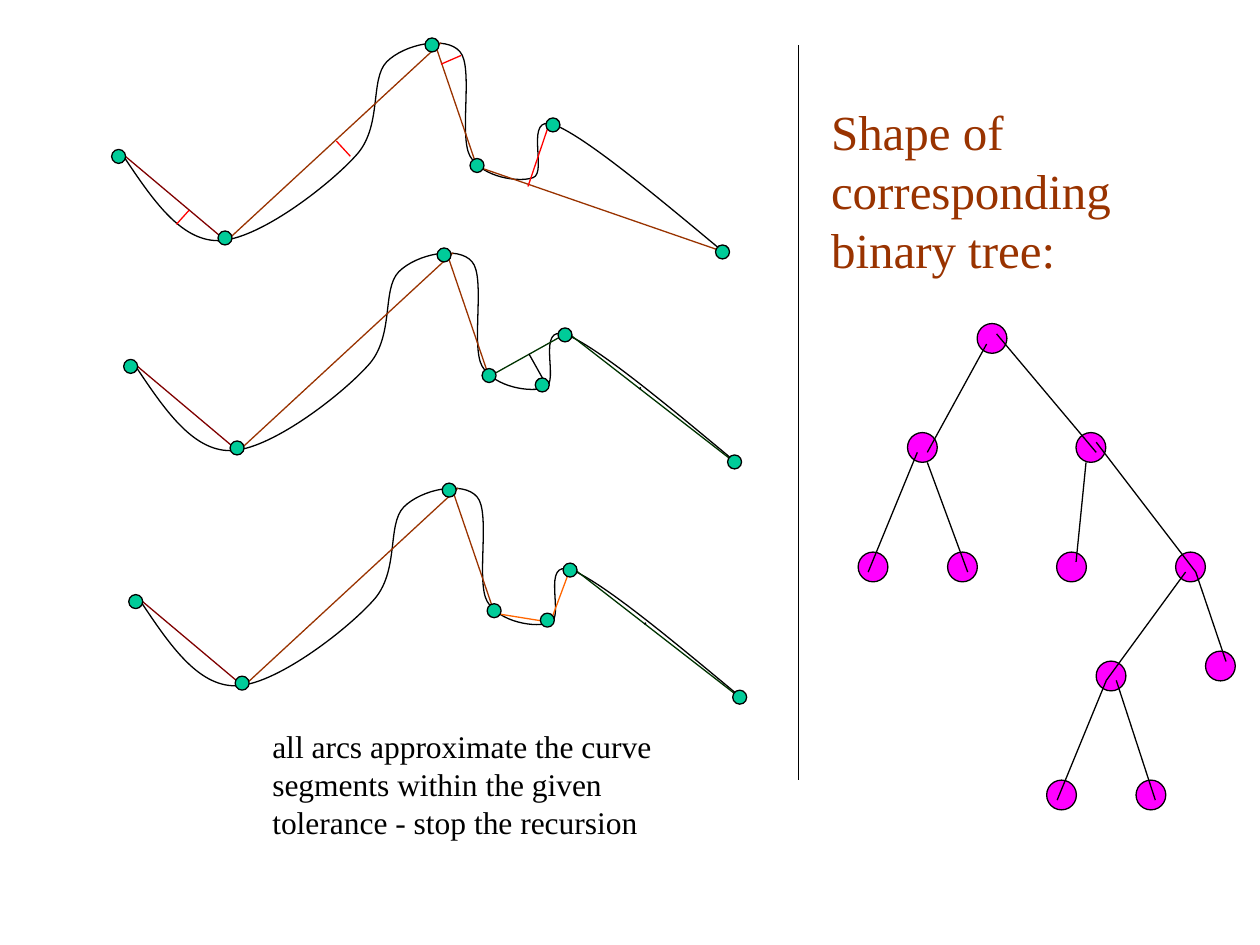
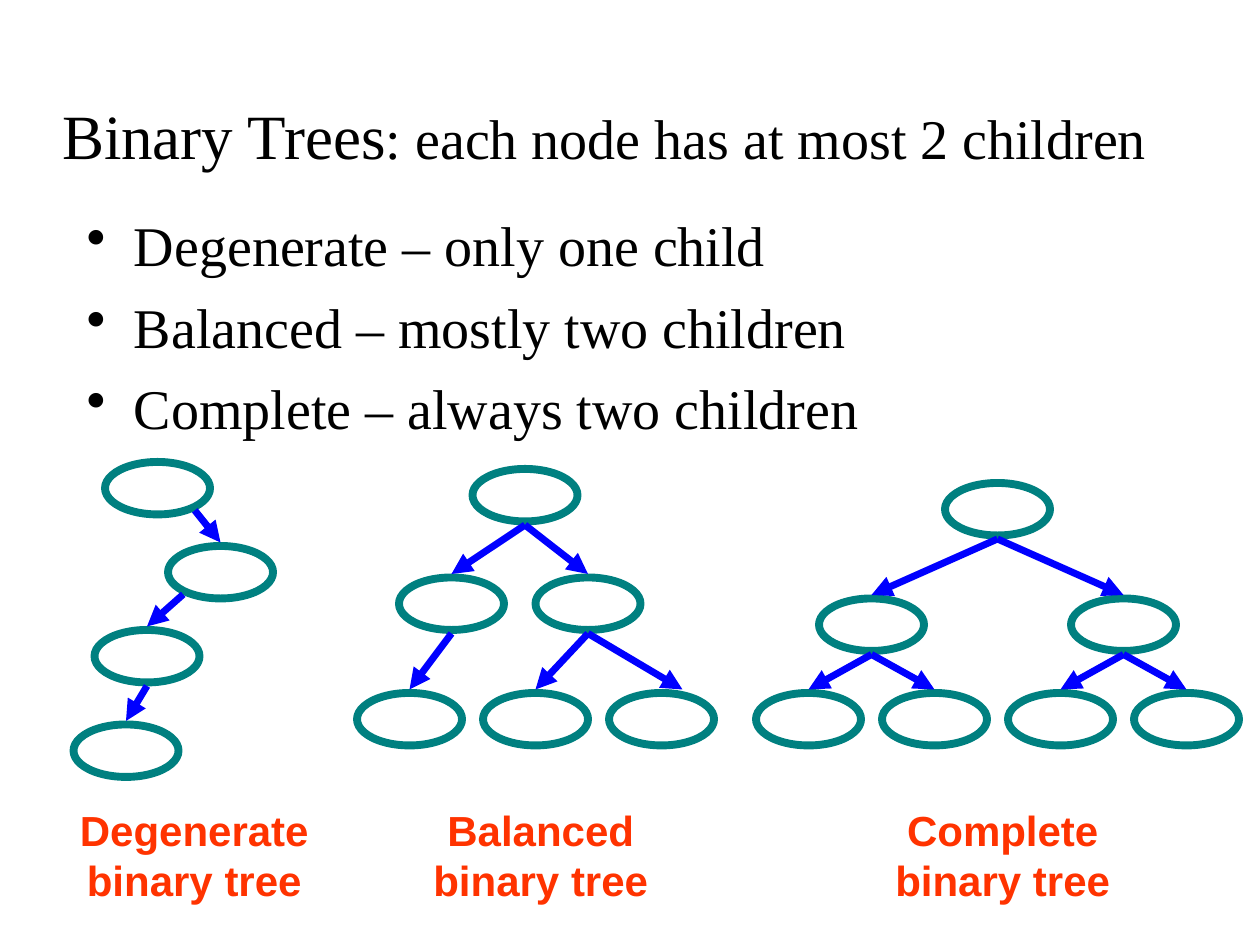
from dataclasses import dataclass

import pptx
import pptx.dml.color
import pptx.enum.shapes
import pptx.enum.text
import pptx.oxml
import pptx.oxml.ns
import pptx.util
from lxml import etree

Pt = pptx.util.Pt
qn = pptx.oxml.ns.qn
ALIGN = pptx.enum.text.PP_ALIGN
ANCHOR = pptx.enum.text.MSO_ANCHOR


@dataclass(frozen=True)
class Theme:
    serif: str = "Times New Roman"
    sans: str = "Arial"
    black: str = "000000"
    brown: str = "993300"
    maroon: str = "800000"
    red: str = "FF0000"
    orange: str = "FF6600"
    dark_green: str = "003300"
    dot: str = "00CC99"
    magenta: str = "FF00FF"
    teal: str = "008080"
    blue: str = "0000FF"
    label: str = "FF3300"
    note_size: float = 18
    label_size: float = 24
    heading_size: float = 28
    body_size: float = 32
    title_size: float = 36
    thin: float = 0.75
    arrow: float = 4
    ring: float = 4.5


THEME = Theme()

# Curve in points: a start, then control, control, end for each segment
CURVE = [
    (70.6, 89.3),
    (87, 113.8), (103, 137.5), (124.6, 137.5),
    (146.9, 137.5), (187.2, 106.6), (203, 89.3),
    (218.9, 72.7), (211, 45.4), (221, 35.3),
    (231.1, 25.2), (254.9, 20.2), (262.8, 29.5),
    (270.7, 38.2), (262.1, 77.8), (268.6, 89.3),
    (275.8, 101.5), (296.6, 104.4), (304.6, 101.5),
    (313.2, 98.6), (298.8, 64.8), (316.8, 71.3),
    (334.8, 78.5), (373.7, 110.9), (412.6, 143.3),
]
CURVE_DOTS = [(67.8, 89.4), (128.6, 136), (272.6, 94.6),
              (412.9, 144), (246.9, 25.7), (316, 71.4)]
SPLIT_DOT = (303, 100)
DOT_SIZE = 8

# Chords are (x1, y1, x2, y2, colour)
SHARED_CHORDS = [
    (69.8, 87.8, 128.9, 137.5, THEME.maroon),
    (128.9, 138.2, 252, 24.5, THEME.brown),
    (249.1, 26.6, 272.2, 94.3, THEME.brown),
]
REFINED_CHORDS = [
    (317, 69.8, 411.6, 143.2, THEME.dark_green),
    (358.3, 102.2, 359.4, 101.5, THEME.black),
]
# Each step is (x offset, y offset, its own chords, its dots)
STEPS = [
    (0, 0, [
        (270, 94.3, 409.7, 142.6, THEME.brown),
        (100.8, 128.2, 108, 120.2, THEME.red),
        (192.2, 80.6, 200.2, 89.3, THEME.red),
        (252, 36.7, 263.5, 31.7, THEME.red),
        (313.9, 70.6, 301.7, 106.6, THEME.red),
    ], CURVE_DOTS),
    (6.9, 120, REFINED_CHORDS + [
        (272.4, 95.3, 316.3, 70.8, THEME.dark_green),
        (295.4, 82.3, 305.5, 100.3, THEME.black),
    ], CURVE_DOTS + [SPLIT_DOT]),
    (9.8, 254.4, REFINED_CHORDS + [
        (273, 96.1, 304.6, 101.2, THEME.orange),
        (316.2, 70.2, 303.9, 103.3, THEME.orange),
    ], CURVE_DOTS + [SPLIT_DOT]),
]

# Tree of the recursion: node centres and edges
TREE_NODE_SIZE = 17
TREE_NODES = [
    (566.9, 193.4), (527.1, 255.7), (623.4, 255.7),
    (498.9, 324), (550, 324), (612.3, 324), (680.3, 324),
    (697.4, 380.6), (634.9, 386.3), (606.6, 454.3), (657.7, 454.3),
]
TREE_EDGES = [
    (563.8, 196.6, 529.9, 258.5), (569.5, 190.8, 626.4, 258.5),
    (529.9, 264.2, 553, 326.9), (524.2, 258.5, 496.1, 326.9),
    (620.6, 264.2, 614.9, 321.1), (626.4, 252.7, 683.3, 326.9),
    (683.3, 326.9, 700.6, 378), (677.5, 326.9, 632.2, 388.8),
    (637.9, 388.8, 660.2, 457.2), (632.2, 388.8, 604.1, 457.2),
]

# Example trees: label and its left, oval corners, then arrows as
# (parent, child, side the arrow leaves from, shift of its tip)
OVAL_WIDTH, OVAL_HEIGHT, ARROW_GAP = 60, 30, 2
EXAMPLE_TREES = [
    ("Degenerate binary tree", 36,
     [(60, 264), (96, 312), (54, 360), (42, 414)],
     [(0, 1, 1, 0), (1, 2, -1, 0), (2, 3, 0, 0)]),
    ("Balanced binary tree", 234,
     [(270, 268), (228, 330), (306, 330), (204, 396), (276, 396), (348, 396)],
     [(0, 1, 0, 0), (0, 2, 0, 0), (1, 3, 0, 0), (2, 4, 0, 0), (2, 5, 0, 12)]),
    ("Complete binary tree", 498,
     [(540, 276), (468, 342), (612, 342),
      (432, 396), (504, 396), (576, 396), (648, 396)],
     [(0, 1, 0, 0), (0, 2, 0, 0), (1, 3, 0, 0),
      (1, 4, 0, 0), (2, 5, 0, 0), (2, 6, 0, 0)]),
]


def rgb(colour):
    return pptx.dml.color.RGBColor.from_string(colour)


def add_text(slide, text, left, top, width, height, *, size, colour=THEME.black,
             font=THEME.serif, bold=False, align=ALIGN.LEFT, anchor=ANCHOR.TOP,
             bullet=None, space_before=0):
    """Add a text box; text is a list of paragraphs, each a list of (text, size)
    runs, or a plain string with one paragraph a line."""
    frame = slide.shapes.add_textbox(Pt(left), Pt(top), Pt(width), Pt(height)).text_frame
    frame.word_wrap = True
    frame.vertical_anchor = anchor
    if isinstance(text, str):
        text = [[(line, size)] for line in text.split("\n")]
    for index, runs in enumerate(text):
        paragraph = frame.paragraphs[0] if index == 0 else frame.add_paragraph()
        paragraph.alignment = align
        if index:
            paragraph.space_before = Pt(space_before)
        if bullet:
            add_bullet(paragraph, bullet)
        for run_text, run_size in runs:
            run = paragraph.add_run()
            run.text = run_text
            run.font.name = font
            run.font.size = Pt(run_size)
            run.font.bold = bold
            run.font.color.rgb = rgb(colour)


def add_bullet(paragraph, character):
    properties = paragraph._p.get_or_add_pPr()
    properties.set("marL", str(Pt(27)))
    properties.set("indent", str(Pt(-27)))
    etree.SubElement(properties, qn("a:buChar")).set("char", character)


def add_line(slide, x1, y1, x2, y2, colour=THEME.black, width=THEME.thin, arrow=False):
    connector = slide.shapes.add_connector(
        pptx.enum.shapes.MSO_CONNECTOR.STRAIGHT, Pt(x1), Pt(y1), Pt(x2), Pt(y2))
    connector.line.color.rgb = rgb(colour)
    connector.line.width = Pt(width)
    if arrow:
        line = connector.line._get_or_add_ln()
        etree.SubElement(line, qn("a:tailEnd")).set("type", "triangle")
    etree.SubElement(connector._element.spPr, qn("a:effectLst"))


def style_outline(shape, fill, colour, width):
    shape.shadow.inherit = False
    if fill:
        shape.fill.solid()
        shape.fill.fore_color.rgb = rgb(fill)
    else:
        shape.fill.background()
    shape.line.color.rgb = rgb(colour)
    shape.line.width = Pt(width)


def add_ellipse(slide, left, top, width, height, fill=None,
                colour=THEME.black, line_width=THEME.thin):
    shape = slide.shapes.add_shape(pptx.enum.shapes.MSO_SHAPE.OVAL,
                                   Pt(left), Pt(top), Pt(width), Pt(height))
    style_outline(shape, fill, colour, line_width)


def add_dot(slide, x, y, size, fill):
    add_ellipse(slide, x - size / 2, y - size / 2, size, size, fill)


def add_curve(slide, points):
    """Add a freeform whose vertices are regrouped in threes as Bézier segments."""
    vertices = [(Pt(x), Pt(y)) for x, y in points]
    builder = slide.shapes.build_freeform(*vertices[0])
    builder.add_line_segments(vertices[1:], close=False)
    shape = builder.convert_to_shape()
    style_outline(shape, None, THEME.black, THEME.thin)
    outline = shape._element.find(".//" + qn("a:path"))
    segments = outline.findall(qn("a:lnTo"))
    for start in range(0, len(segments), 3):
        bezier = etree.SubElement(outline, qn("a:cubicBezTo"))
        for segment in segments[start:start + 3]:
            bezier.append(segment[0])
            outline.remove(segment)


def add_step(slide, dx, dy, chords, dots):
    add_curve(slide, [(x + dx, y + dy) for x, y in CURVE])
    for x1, y1, x2, y2, colour in SHARED_CHORDS + chords:
        add_line(slide, x1 + dx, y1 + dy, x2 + dx, y2 + dy, colour)
    for x, y in dots:
        add_dot(slide, x + dx, y + dy, DOT_SIZE, THEME.dot)


def add_example_tree(slide, label, label_left, ovals, arrows):
    for left, top in ovals:
        add_ellipse(slide, left, top, OVAL_WIDTH, OVAL_HEIGHT,
                    colour=THEME.teal, line_width=THEME.ring)
    for parent, child, side, shift in arrows:
        (left, top), (child_left, child_top) = ovals[parent], ovals[child]
        reach = 0.71 if side else 1  # a side exit leaves the oval at 45 degrees
        add_line(slide,
                 left + OVAL_WIDTH / 2 * (1 + side * reach),
                 top + OVAL_HEIGHT / 2 * (1 + reach) + ARROW_GAP,
                 child_left + OVAL_WIDTH / 2 + shift, child_top - ARROW_GAP,
                 THEME.blue, THEME.arrow, arrow=True)
    add_text(slide, label, label_left, 456, 150, 65, size=THEME.label_size,
             colour=THEME.label, font=THEME.sans, bold=True, align=ALIGN.CENTER)


def build_recursion_slide(slide):
    # Three steps of the approximation
    for step in STEPS:
        add_step(slide, *step)
    add_text(slide, "all arcs approximate the curve segments within the given "
             "tolerance - stop the recursion", 148.5, 412, 270, 72, size=THEME.note_size)
    # Divider and tree
    add_line(slide, 456.3, 26, 456.3, 445.7)
    add_text(slide, "Shape of corresponding binary tree:", 467.8, 54.5, 215, 108,
             size=THEME.heading_size, colour=THEME.brown)
    for x, y in TREE_NODES:
        add_dot(slide, x, y, TREE_NODE_SIZE, THEME.magenta)
    for edge in TREE_EDGES:
        add_line(slide, *edge)


def build_tree_kinds_slide(slide):
    # Title and definitions
    add_text(slide, [[("Binary Trees", THEME.title_size),
                      (": each node has at most 2 children", THEME.body_size)]],
             25, 31.5, 641, 90, size=THEME.title_size,
             align=ALIGN.CENTER, anchor=ANCHOR.MIDDLE)
    add_text(slide, "Degenerate – only one child\nBalanced – mostly two children\n"
             "Complete – always two children", 42.5, 117, 612, 324,
             size=THEME.body_size, bullet="•", space_before=8)
    # Example trees
    for tree in EXAMPLE_TREES:
        add_example_tree(slide, *tree)


def main():
    presentation = pptx.Presentation()
    presentation.slide_width, presentation.slide_height = Pt(720), Pt(540)
    blank = presentation.slide_layouts[6]
    build_recursion_slide(presentation.slides.add_slide(blank))
    build_tree_kinds_slide(presentation.slides.add_slide(blank))
    presentation.save("out.pptx")


if __name__ == "__main__":
    main()
